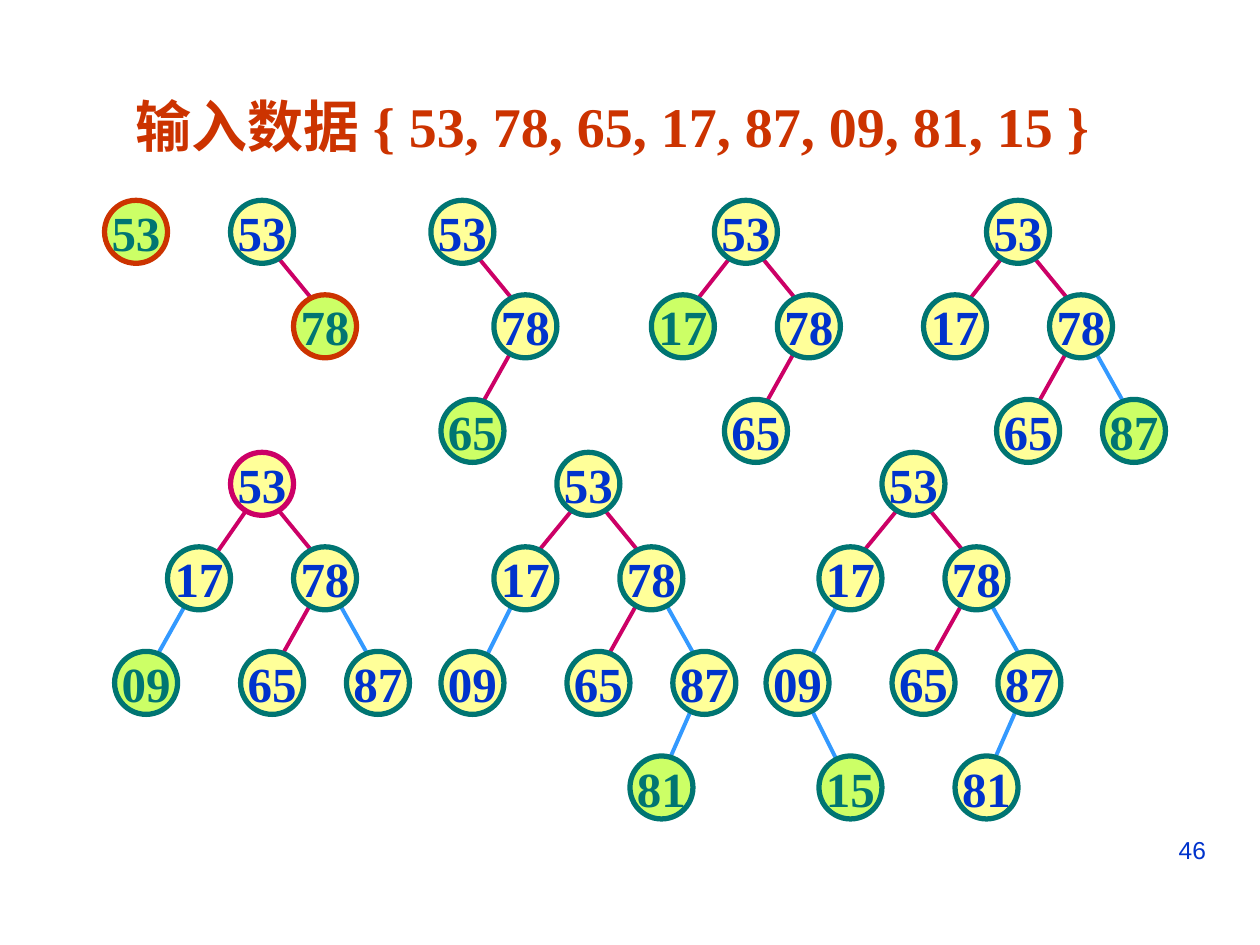
from pptx import Presentation
from pptx.dml.color import RGBColor as RGB
from pptx.enum.shapes import MSO_CONNECTOR as Link, MSO_SHAPE as Form
from pptx.enum.text import MSO_ANCHOR as Anchor, PP_ALIGN as Align
from pptx.util import Inches, Pt
from lxml import etree

# Content: the keys in order of insertion
KEYS = ["53", "78", "65", "17", "87", "09", "81", "15"]
TITLE = "输入数据 { " + ", ".join(KEYS) + " }"
PAGE = "46"

# Each key's place, relative to the top left of its tree's root
SPOTS = {
    "53": (0, 0), "78": (0.5, 0.75), "65": (0.08, 1.58), "17": (-0.5, 0.75),
    "87": (0.92, 1.58), "09": (-0.92, 1.58), "81": (0.58, 2.41),
    "15": (-0.5, 2.41),
}
# Branch leading to each key: start, end, colour
EDGES = {
    "78": ((0.34, 0.41), (0.75, 0.91), "red"),
    "65": ((0.66, 1.16), (0.33, 1.75), "red"),
    "17": ((0.16, 0.41), (-0.25, 0.91), "red"),
    "87": ((0.84, 1.16), (1.17, 1.75), "sky"),
    "09": ((-0.33, 1.16), (-0.58, 1.66), "sky"),
    "81": ((1.16, 1.83), (0.83, 2.58), "sky"),
    "15": ((-0.58, 2), (-0.33, 2.5), "sky"),
}
# Trees: root place, special ring colours, special branch ends
TOP, LOW = 1.59, 3.59
SHORT = {"17": (-0.17, 0.83)}
STEEP = {"17": (-0.25, 1), "09": (-0.66, 1.75)}
TREES = [
    (0.83, TOP, {"53": "rust"}, {}),
    (1.83, TOP, {"78": "rust"}, {}),
    (3.42, TOP, {}, {}),
    (5.67, TOP, {}, SHORT),
    (7.83, TOP, {}, SHORT),
    (1.83, LOW, {"53": "red"}, STEEP),
    (4.42, LOW, {}, {}),
    (7, LOW, {}, {}),
]

THEME = {
    "rust": "CC3300", "red": "CC0066", "sky": "3399FF", "teal": "007572",
    "blue": "0033CC", "lime": "CCFF66", "cream": "FFFF99",
    "title": 32, "node": 28, "page": 14, "ring": 3, "edge": 2.25,
    "serif": "Times New Roman", "sans": "Arial",
}
SIZE = 0.5


def tint(name):
    return RGB.from_string(THEME[name])


def write(shape, text, size, color, font="serif", bold=True,
          align=Align.LEFT, anchor=Anchor.TOP, wrap=True):
    frame = shape.text_frame
    frame.word_wrap = wrap
    frame.vertical_anchor = anchor
    para = frame.paragraphs[0]
    para.alignment = align
    run = para.add_run()
    run.text = text
    run.font.name = THEME[font]
    run.font.size = Pt(THEME[size])
    run.font.bold = bold
    run.font.color.rgb = tint(color)


def add_box(shapes, x, y, wide, high, text, **form):
    box = shapes.add_textbox(*map(Inches, (x, y, wide, high)))
    write(box, text, **form)


def add_edge(shapes, x, y, start, end, color):
    ends = (x + start[0], y + start[1], x + end[0], y + end[1])
    line = shapes.add_connector(Link.STRAIGHT, *map(Inches, ends))
    line.line.color.rgb = tint(color)
    line.line.width = Pt(THEME["edge"])
    props = line._element.spPr
    etree.SubElement(props, props.tag.replace("spPr", "effectLst").replace(
        "presentationml", "drawingml"))


def add_node(shapes, x, y, key, fresh, ring):
    dx, dy = SPOTS[key]
    node = shapes.add_shape(
        Form.OVAL, *map(Inches, (x + dx, y + dy, SIZE, SIZE)))
    node.shadow.inherit = False
    node.fill.solid()
    node.fill.fore_color.rgb = tint("lime" if fresh else "cream")
    node.line.color.rgb = tint(ring)
    node.line.width = Pt(THEME["ring"])
    write(node, key, "node", "teal" if fresh else "blue",
          align=Align.CENTER, anchor=Anchor.MIDDLE, wrap=False)


def add_tree(shapes, x, y, keys, rings, bends):
    # Branches lie behind the nodes
    for key in keys[1:]:
        start, end, color = EDGES[key]
        add_edge(shapes, x, y, start, bends.get(key, end), color)
    for key in keys:
        add_node(shapes, x, y, key, key == keys[-1], rings.get(key, "teal"))


def main():
    deck = Presentation()
    deck.slide_width, deck.slide_height = Inches(10), Inches(7.5)
    shapes = deck.slides.add_slide(deck.slide_layouts[6]).shapes

    # Page number and title
    add_box(shapes, 7.17, 6.58, 2.5, 0.52, PAGE, size="page", color="blue",
            font="sans", bold=False, align=Align.RIGHT)
    add_box(shapes, 0.98, 0.68, 8, 0.63, TITLE, size="title", color="rust")

    # One tree after each insertion
    for count, (x, y, rings, bends) in enumerate(TREES, 1):
        add_tree(shapes, x, y, KEYS[:count], rings, bends)

    deck.save("out.pptx")


if __name__ == "__main__":
    main()
